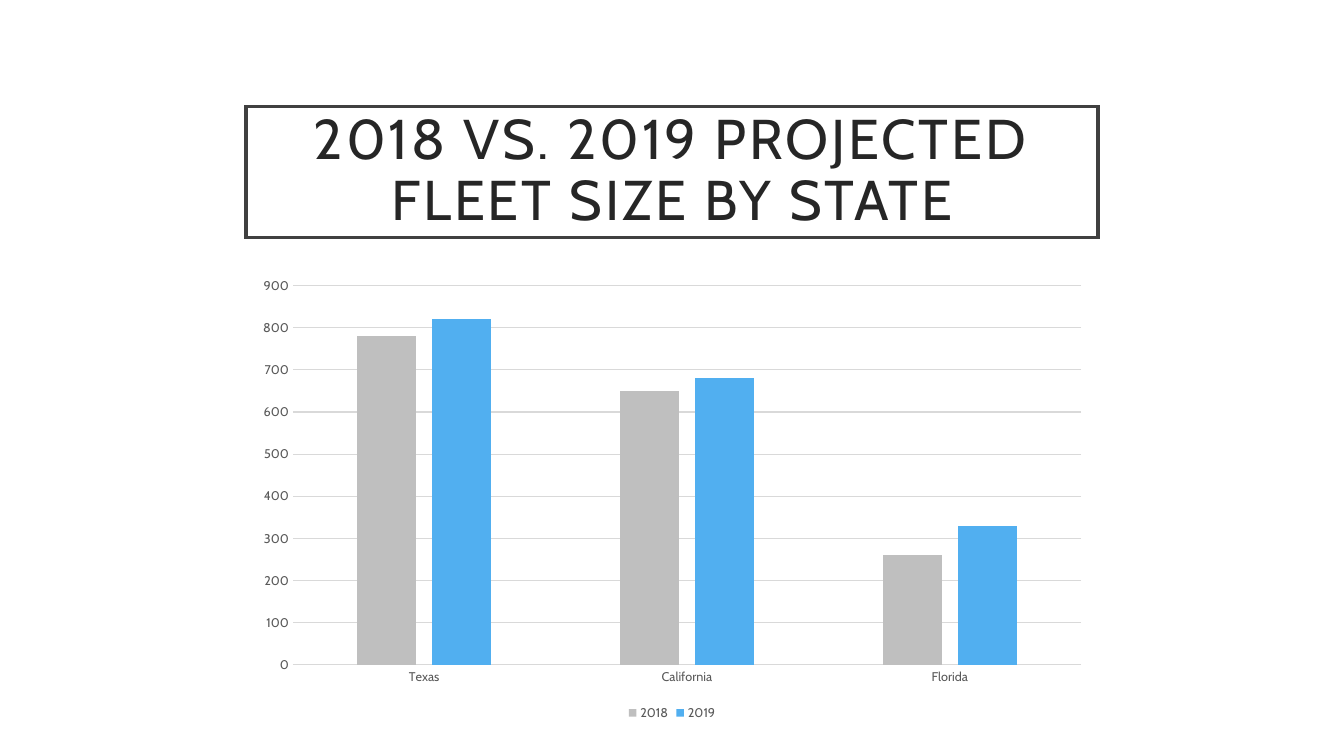
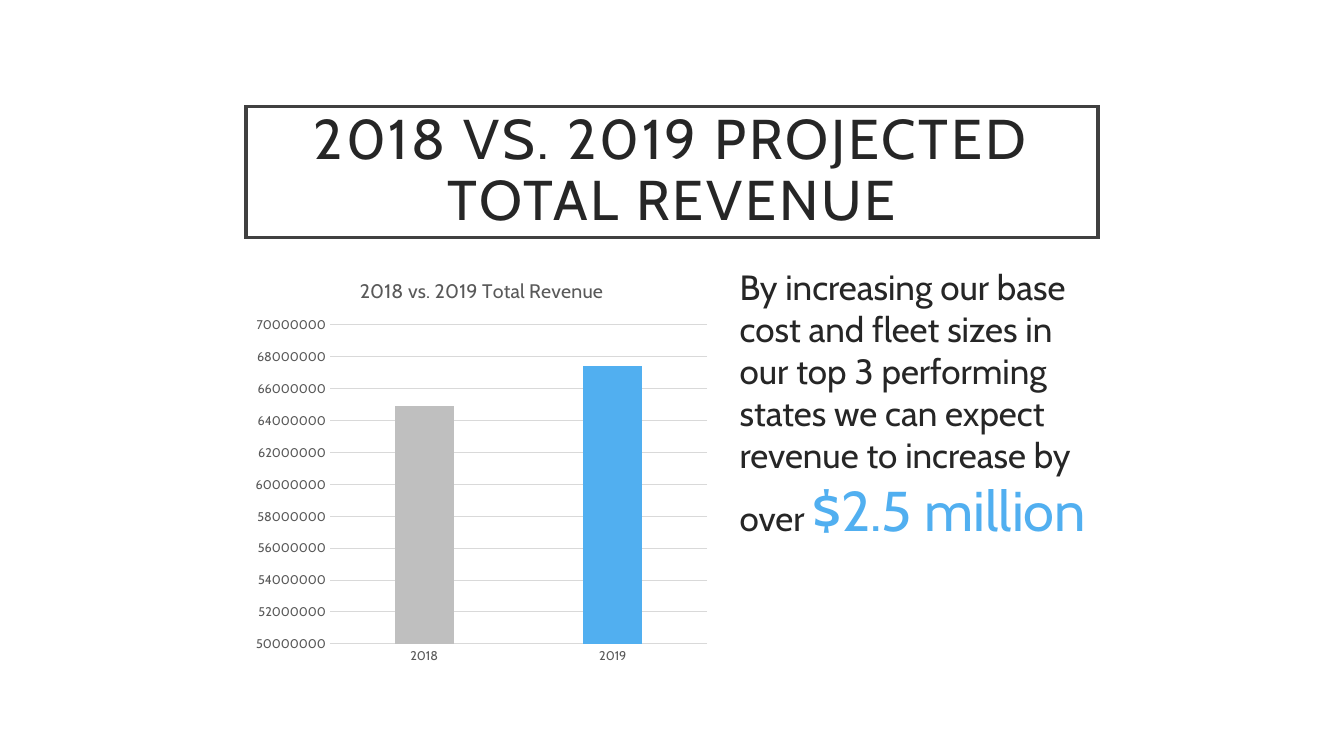
from lxml import etree
from pptx import Presentation
from pptx.chart import data as chart_data
from pptx.dml import color
from pptx.enum import chart as chart_enum, text
from pptx.oxml import ns
from pptx.util import Pt

# Shared style
FONT = "Cabin"
WHITE, INK, FRAME = "FFFFFF", "262626", "404040"
LABEL, GRID = "595959", "D9D9D9"
GRAY, BLUE = "BFBFBF", "51AFF0"
LEFT, WIDTH = 175.7, 608.7
TITLE_ONLY = 5


def rgb(value):
    return color.RGBColor.from_string(value)


def paint(fill, value):
    fill.solid()
    fill.fore_color.rgb = rgb(value)


def style_line(line, value, width):
    line.color.rgb = rgb(value)
    line.width = Pt(width)


def style_font(font, size, value):
    font.name = FONT
    font.size = Pt(size)
    font.bold = False
    font.color.rgb = rgb(value)


def place(shape, left, top, width, height):
    shape.left, shape.top = Pt(left), Pt(top)
    shape.width, shape.height = Pt(width), Pt(height)


def add_run(paragraph, words, size, value):
    run = paragraph.add_run()
    run.text = words
    style_font(run.font, size, value)
    return run


# Slide with its framed title
def add_slide(presentation, title):
    slide = presentation.slides.add_slide(presentation.slide_layouts[TITLE_ONLY])
    shape = slide.shapes.title
    place(shape, LEFT, 76, WIDTH, 93.6)
    paint(shape.fill, WHITE)
    style_line(shape.line, FRAME, 2.5)
    outline = shape.element.find(".//" + ns.qn("a:ln"))
    etree.SubElement(outline, ns.qn("a:miter")).set("lim", "800000")
    frame = shape.text_frame
    frame.word_wrap = True
    frame.auto_size = text.MSO_AUTO_SIZE.NONE
    frame.vertical_anchor = text.MSO_ANCHOR.MIDDLE
    frame.margin_left = frame.margin_right = Pt(14.4)
    frame.margin_top = frame.margin_bottom = Pt(14.4)
    paragraph = frame.paragraphs[0]
    paragraph.alignment = text.PP_ALIGN.CENTER
    paragraph.line_spacing = 0.9
    run = add_run(paragraph, title, 40, INK)
    run.font._element.set("spc", "200")
    return slide


# Body text made of (words, size, colour) runs
def add_body(slide, box, runs):
    shape = slide.shapes.add_textbox(*map(Pt, box))
    frame = shape.text_frame
    frame.word_wrap = True
    paragraph = frame.paragraphs[0]
    paragraph.space_before = Pt(10)
    for words, size, value in runs:
        add_run(paragraph, words, size, value)


# Fixed position of a chart part, as fractions of the chart
def set_layout(parent, index, **fractions):
    for old in parent.findall(ns.qn("c:layout")):
        parent.remove(old)
    layout = etree.Element(ns.qn("c:layout"))
    manual = etree.SubElement(layout, ns.qn("c:manualLayout"))
    settings = {"xMode": "edge", "yMode": "edge", **fractions}
    if "w" in fractions:
        settings = {"layoutTarget": "inner", **settings}
    for name, value in settings.items():
        etree.SubElement(manual, ns.qn(f"c:{name}")).set("val", str(value))
    parent.insert(index, layout)


def style_axes(chart, minimum, maximum, step):
    for axis in (chart.category_axis, chart.value_axis):
        axis.major_tick_mark = axis.minor_tick_mark = chart_enum.XL_TICK_MARK.NONE
        style_font(axis.tick_labels.font, 9, LABEL)
    style_line(chart.category_axis.format.line, GRID, 0.75)
    axis = chart.value_axis
    axis.format.line.fill.background()
    axis.has_major_gridlines = True
    style_line(axis.major_gridlines.format.line, GRID, 0.75)
    axis.minimum_scale, axis.maximum_scale = minimum, maximum
    axis.major_unit = step


def add_columns(slide, box, categories, series, scale, plot_area):
    data = chart_data.CategoryChartData()
    data.categories = categories
    for name, values in series:
        data.add_series(name, values)
    chart = slide.shapes.add_chart(
        chart_enum.XL_CHART_TYPE.COLUMN_CLUSTERED, *map(Pt, box), data).chart
    style_font(chart.font, 10, "000000")
    chart.has_title = chart.has_legend = False
    style_axes(chart, *scale)
    plot = chart.plots[0]
    plot.gap_width, plot.overlap = 219, -27
    plot.vary_by_categories = False
    area = chart.element.find(".//" + ns.qn("c:plotArea"))
    set_layout(area, 0, **plot_area)
    return chart


def add_legend(chart):
    chart.has_legend = True
    chart.legend.position = chart_enum.XL_LEGEND_POSITION.BOTTOM
    chart.legend.include_in_layout = False
    style_font(chart.legend.font, 9, LABEL)


def add_chart_title(chart, words, x, y):
    chart.has_title = True
    title = chart.chart_title
    title.include_in_layout = False
    add_run(title.text_frame.paragraphs[0], words, 14, LABEL)
    set_layout(title._element, 1, x=x, y=y)


def fleet_slide(presentation):
    slide = add_slide(presentation, "2018 VS. 2019 PROJECTED FLEET SIZE BY STATE")
    chart = add_columns(
        slide, (LEFT, 192.4, WIDTH, 325.4), ["Texas", "California", "Florida"],
        [("2018", (780, 650, 260)), ("2019", (820, 680, 330))],
        (0, 900, 100), dict(x=0.055, y=0.036, w=0.925, h=0.832))
    for series, value in zip(chart.plots[0].series, (GRAY, BLUE)):
        paint(series.format.fill, value)
    add_legend(chart)


def revenue_slide(presentation):
    slide = add_slide(presentation, "2018 VS. 2019 PROJECTED TOTAL REVENUE")
    top = 186.5
    add_body(slide, (521.3, 186, 263.5, 265.7), [
        ("By increasing our base cost and fleet sizes in our top 3 performing "
         "states we can expect revenue to increase by over ", 25, INK),
        ("$2.5 million", 40, BLUE)])
    chart = add_columns(
        slide, (LEFT, top, 336.5, 293.8), ["2018", "2019"],
        [("Series 1", (64900000, 67400000))],
        (50000000, 70000000, 2000000), dict(x=0.178, y=0.155, w=0.801, h=0.776))
    series = chart.plots[0].series[0]
    for index, value in enumerate((GRAY, BLUE)):
        paint(series.points[index].format.fill, value)
    add_chart_title(chart, "2018 vs. 2019 Total Revenue", 0.234, 0.03)


def main():
    presentation = Presentation()
    presentation.slide_width, presentation.slide_height = Pt(960), Pt(540)
    fleet_slide(presentation)
    revenue_slide(presentation)
    presentation.save("out.pptx")


if __name__ == "__main__":
    main()
